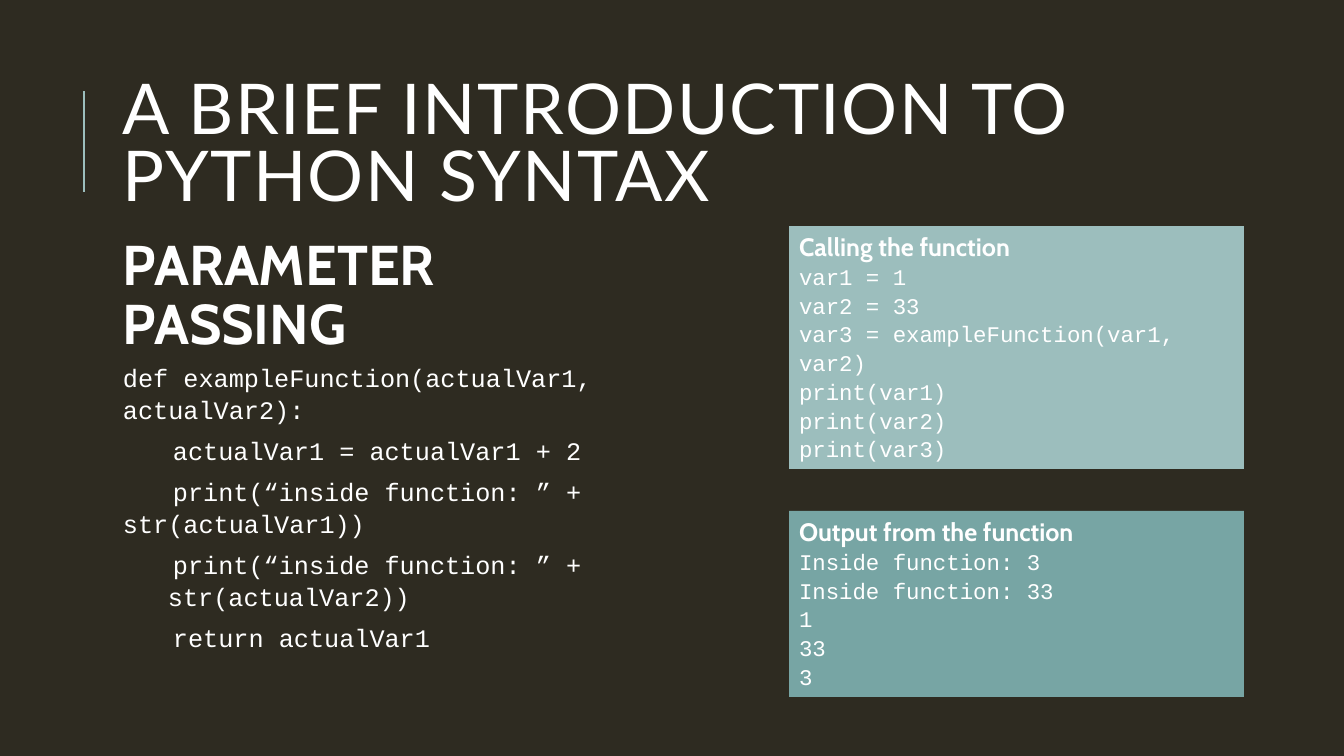
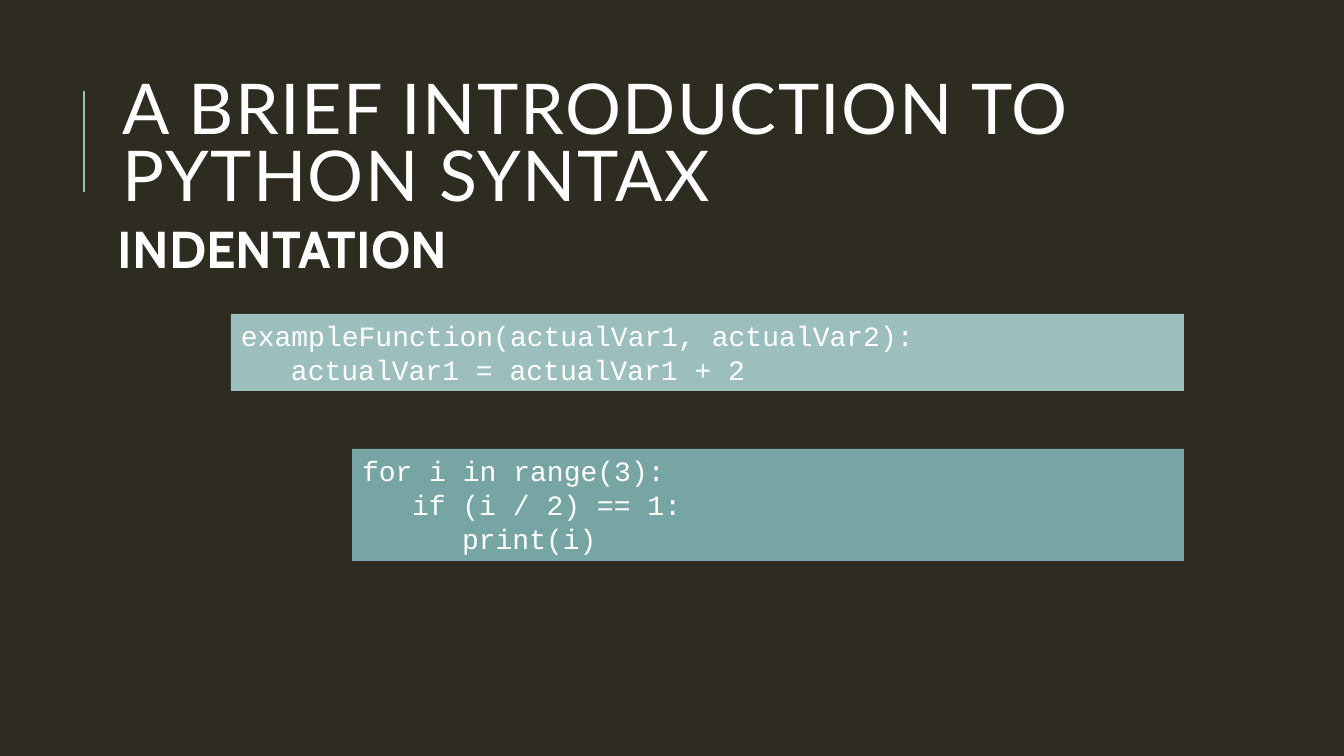
from collections import namedtuple
from pptx import Presentation
from pptx.dml.color import RGBColor
from pptx.enum.shapes import MSO_CONNECTOR, MSO_SHAPE
from pptx.enum.text import MSO_ANCHOR, PP_ALIGN
from pptx.oxml.ns import qn
from pptx.util import Emu, Pt
from lxml.etree import SubElement

SCALE = 914400 / 100.8
WIDE, HIGH = 1344, 756
TAB = 50
COLORS = {"back": "2E2B21", "text": "FFFFFF", "light": "9CBEBD", "deep": "77A5A4"}

Style = namedtuple("Style", "font size bold lead gap", defaults=(False, 1, 0))
TITLE = Style("Lato", 50, lead=0.8)
TOPIC = Style("Cabin", 40, True, 0.75)
TOPIC_END = TOPIC._replace(lead=0.85)
TOPIC_SMALL = TOPIC._replace(size=37)
HEAD = Style("Cabin", 18, True)
CODE = Style("Courier New", 16, lead=1.07)
BODY = CODE._replace(size=18, gap=3)
LARGE = Style("Courier New", 20)

Line = namedtuple("Line", "text style first rest", defaults=(0, 0))


def px(n):
    return Emu(round(n * SCALE))


def color(name):
    return RGBColor.from_string(COLORS[name])


class Deck:
    def __init__(self):
        self.prs = Presentation()
        self.prs.slide_width, self.prs.slide_height = px(WIDE), px(HIGH)
        fill = self.prs.slide_master.background.fill
        fill.solid()
        fill.fore_color.rgb = color("back")

    def page(self, title):
        self.slide = self.prs.slides.add_slide(self.prs.slide_layouts[6])
        self.rule(84, 192, 84, 91)
        frame = self.text((113, 65, 1072, 165), [Line(title, TITLE)])
        frame.vertical_anchor = MSO_ANCHOR.MIDDLE
        for run in frame.paragraphs[0].runs:
            run.font._element.set("spc", "100")

    def rule(self, *ends):
        rule = self.slide.shapes.add_connector(MSO_CONNECTOR.STRAIGHT, *map(px, ends))
        rule.line.color.rgb = color("light")
        rule.line.width = Pt(1.5)
        SubElement(rule._element.spPr, qn("a:effectLst"))

    def text(self, box, lines, inset=10):
        shape = self.slide.shapes.add_textbox(*map(px, box))
        return self.lay(shape.text_frame, lines, inset)

    def panel(self, box, fill, lines):
        shape = self.slide.shapes.add_shape(MSO_SHAPE.RECTANGLE, *map(px, box))
        shape.shadow.inherit = False
        shape.fill.solid()
        shape.fill.fore_color.rgb = color(fill)
        shape.line.fill.background()
        self.lay(shape.text_frame, lines)

    def lay(self, frame, lines, inset=10):
        frame.word_wrap = True
        frame.vertical_anchor = MSO_ANCHOR.TOP
        frame.margin_left = frame.margin_right = px(inset)
        frame.margin_top = frame.margin_bottom = px(5)
        frame.text = "\n".join(line.text for line in lines)
        for par, line in zip(frame.paragraphs, lines):
            style = line.style
            par.alignment = PP_ALIGN.LEFT
            par.line_spacing = style.lead
            par.space_before = par.space_after = Pt(style.gap)
            props = par._p.get_or_add_pPr()
            props.set("marL", str(px(line.rest)))
            props.set("indent", str(px(line.first - line.rest)))
            for run in par.runs:
                self.dress(run, style)
        return frame

    def dress(self, run, style):
        run.font.name = style.font
        run.font.size = Pt(style.size)
        run.font.bold = style.bold
        run.font.color.rgb = color("text")


def listing(head, code):
    return [Line(head, HEAD)] + [Line(text, CODE) for text in code]


NAME = "A BRIEF INTRODUCTION TO PYTHON SYNTAX"
deck = Deck()

deck.page(NAME)
deck.panel((789, 226, 455, 243), "light", listing("Calling the function", [
    "var1 = 1",
    "var2 = 33",
    "var3 = exampleFunction(var1, var2)",
    "print(var1)",
    "print(var2)",
    "print(var3)",
]))
deck.panel((789, 511, 455, 186), "deep", listing("Output from the function", [
    "Inside function: 3",
    "Inside function: 33",
    "1",
    "33",
    "3",
]))
body = deck.text((113, 226, 634, 471), [
    Line("PARAMETER", TOPIC),
    Line("PASSING", TOPIC_END),
    Line("def exampleFunction(actualVar1, actualVar2):", BODY),
    Line("actualVar1 = actualVar1 + 2", BODY, TAB),
    Line("print(“inside function: ” + str(actualVar1))", BODY, TAB),
    Line("print(“inside function: ” + str(actualVar2))", BODY, TAB, 45),
    Line("return actualVar1", BODY, TAB),
])
space = body.paragraphs[0].add_run()
space.text = " "
deck.dress(space, TOPIC._replace(size=54))

deck.page(NAME)
deck.text((113, 226, 663, 466), [Line("INDENTATION", TOPIC_SMALL)], 5)
deck.panel((231, 314, 953, 77), "light", [
    Line("exampleFunction(actualVar1, actualVar2):", LARGE),
    Line("actualVar1 = actualVar1 + 2", LARGE, TAB),
])
deck.panel((352, 449, 832, 112), "deep", [
    Line("for i in range(3):", LARGE),
    Line("if (i / 2) == 1:", LARGE, TAB),
    Line("print(i)", LARGE, 2 * TAB),
])

deck.prs.save("out.pptx")
